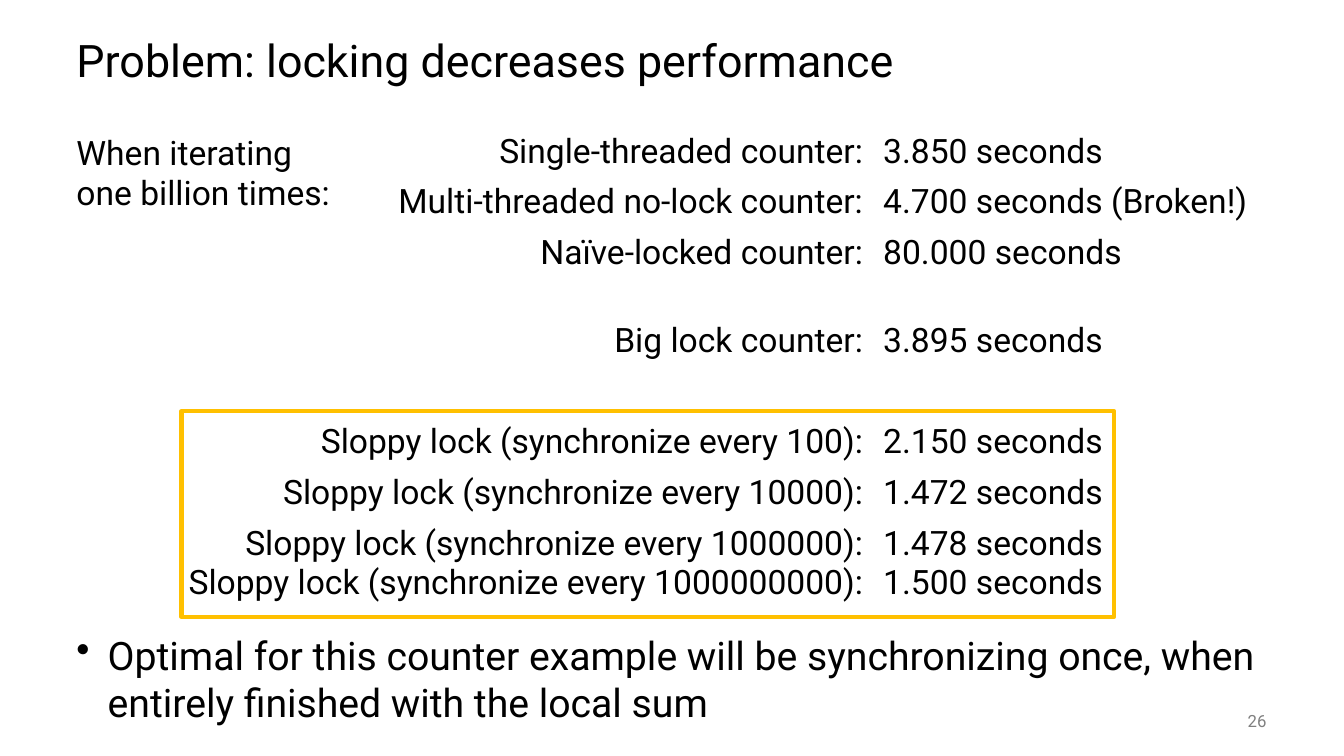
from dataclasses import dataclass

from lxml import etree
from pptx import Presentation
from pptx.dml.color import RGBColor
from pptx.enum.shapes import MSO_SHAPE
from pptx.enum.text import MSO_ANCHOR, PP_ALIGN
from pptx.oxml.ns import qn
from pptx.util import Inches, Pt

LEFT, RIGHT = PP_ALIGN.LEFT, PP_ALIGN.RIGHT
TOP, MIDDLE, BOTTOM = MSO_ANCHOR.TOP, MSO_ANCHOR.MIDDLE, MSO_ANCHOR.BOTTOM
RECTANGLE = MSO_SHAPE.RECTANGLE


@dataclass(frozen=True)
class Theme:
    font: str = "Roboto"
    text: RGBColor = RGBColor(0x00, 0x00, 0x00)
    muted: RGBColor = RGBColor(0x80, 0x80, 0x80)
    accent: RGBColor = RGBColor(0xFF, 0xC0, 0x00)
    title: int = 32
    bullet: int = 28
    body: int = 24
    footer: int = 12


THEME = Theme()
MARGIN, CONTENT_W = 0.66, 12
ROW_H, LINE_H = 0.49, 0.39
LABEL_W, VALUE_W = 7.56, 4

# Each row: labels, values and the number of lines it is tall
TIMINGS = [
    (["Single-threaded counter:"], ["3.850 seconds"], 1),
    (["Multi-threaded no-lock counter:"], ["4.700 seconds (Broken!)"], 1),
    (["Naïve-locked counter:"], ["80.000 seconds"], 1),
    (["Big lock counter:"], ["3.895 seconds"], 2),
    ([], [], 1),
    (["Sloppy lock (synchronize every 100):"], ["2.150 seconds"], 1),
    (["Sloppy lock (synchronize every 10000):"], ["1.472 seconds"], 1),
    (["Sloppy lock (synchronize every 1000000):",
      "Sloppy lock (synchronize every 1000000000):"],
     ["1.478 seconds", "1.500 seconds"], 2),
]


def style(p, size, color=THEME.text, align=LEFT):
    p.alignment = align
    p.font.name = THEME.font
    p.font.size = Pt(size)
    p.font.color.rgb = color


def add_text(s, box, text, size, color=THEME.text, align=LEFT, anchor=TOP):
    tf = s.shapes.add_textbox(*map(Inches, box)).text_frame
    tf.word_wrap = True
    tf.vertical_anchor = anchor
    p = tf.paragraphs[0]
    p.text = text
    style(p, size, color, align)
    return p


def add_title(s, box, text):
    add_text(s, box, text, THEME.title, anchor=MIDDLE).line_spacing = 0.9


def add_bullet(s, box, text, indent=0.31):
    p = add_text(s, box, text, THEME.bullet)
    pPr = p._p.get_or_add_pPr()
    pPr.set("marL", str(Inches(indent)))
    pPr.set("indent", str(-Inches(indent)))
    bullet = etree.Element(qn("a:buChar"), char="•")
    pPr.insert_element_before(bullet, "a:tabLst", "a:defRPr", "a:extLst")


def add_timings(s, left, top):
    heights = [ROW_H + (lines - 1) * LINE_H for *_, lines in TIMINGS]
    frame = s.shapes.add_table(
        len(TIMINGS), 2, Inches(left), Inches(top),
        Inches(LABEL_W + VALUE_W), Inches(sum(heights)))
    table = frame.table
    table.first_row = table.horz_banding = False
    for column, width in zip(table.columns, (LABEL_W, VALUE_W)):
        column.width = Inches(width)
    for row, height, (labels, values, _) in zip(table.rows, heights, TIMINGS):
        row.height = Inches(height)
        for cell, texts, align in zip(row.cells, (labels, values), (RIGHT, LEFT)):
            cell.fill.background()
            cell.vertical_anchor = BOTTOM
            cell.text = "\n".join(texts)
            for p in cell.text_frame.paragraphs:
                style(p, THEME.body, align=align)


def add_highlight(s, box):
    sp = s.shapes.add_shape(RECTANGLE, *map(Inches, box))
    sp.shadow.inherit = False
    sp.fill.background()
    sp.line.color.rgb = THEME.accent
    sp.line.width = Pt(3)


def build_slide(prs):
    s = prs.slides.add_slide(prs.slide_layouts[6])
    # Heading
    add_title(s, (MARGIN, 0.25, CONTENT_W, 0.75),
              "Problem: locking decreases performance")
    # Timings, with the sloppy locks framed
    add_timings(s, MARGIN + CONTENT_W - LABEL_W - VALUE_W, 1.25)
    # Page number, conclusion and lead-in
    add_text(s, (MARGIN + CONTENT_W - 1, 6.95, 1, 0.4), "26",
             THEME.footer, THEME.muted, RIGHT, MIDDLE)
    add_bullet(s, (MARGIN, 6.21, CONTENT_W, 1.04),
               "Optimal for this counter example will be synchronizing once, "
               "when entirely finished with the local sum")
    add_text(s, (MARGIN, 1.26, 2.9, 0.91),
             "When iterating one billion times:", THEME.body)
    add_highlight(s, (1.8, 4.08, 9.25, 2.04))


def main():
    prs = Presentation()
    prs.slide_width, prs.slide_height = Inches(13.33), Inches(7.5)
    build_slide(prs)
    prs.save("out.pptx")


if __name__ == "__main__":
    main()
